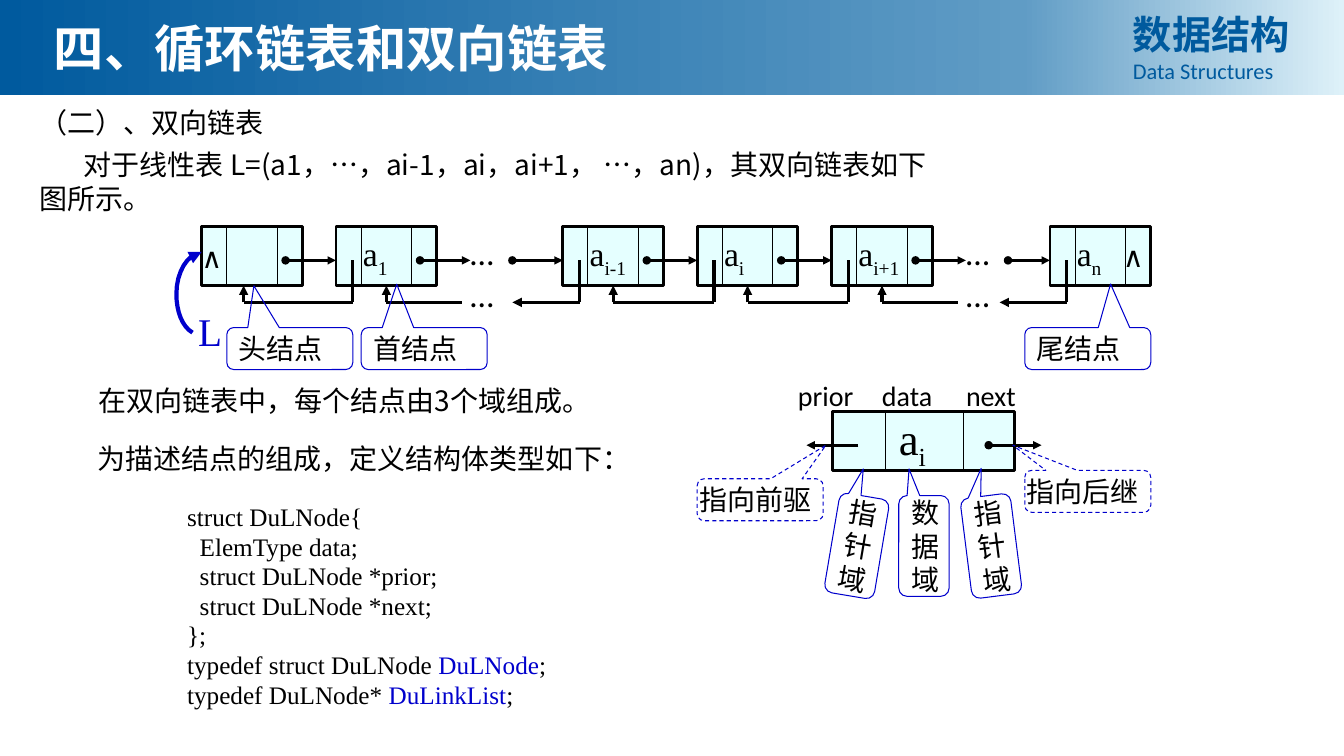
from copy import deepcopy

from pptx import Presentation
from pptx.dml.color import RGBColor
from pptx.enum.dml import MSO_LINE
from pptx.enum.shapes import MSO_CONNECTOR, MSO_SHAPE
from pptx.enum.text import MSO_ANCHOR, PP_ALIGN
from pptx.oxml.ns import qn
from pptx.util import Cm, Pt

RECT, CALLOUT = MSO_SHAPE.RECTANGLE, MSO_SHAPE.ROUNDED_RECTANGULAR_CALLOUT
STRAIGHT, DASH = MSO_CONNECTOR.STRAIGHT, MSO_LINE.DASH
TOP, MIDDLE = MSO_ANCHOR.TOP, MSO_ANCHOR.MIDDLE
LEFT, JUSTIFY = PP_ALIGN.LEFT, PP_ALIGN.JUSTIFY

BLACK = RGBColor(0x00, 0x00, 0x00)
WHITE = RGBColor(0xFF, 0xFF, 0xFF)
INK_BLUE = RGBColor(0x00, 0x00, 0xCC)
BRAND_BLUE = RGBColor(0x00, 0x5A, 0x9E)
NODE_FILL = RGBColor(0xCC, 0xFF, 0xFF)
BAR_STOPS = [(0, BRAND_BLUE), (0.76, RGBColor(0x60, 0x9C, 0xC5)),
             (1, RGBColor(0xDE, 0xF1, 0xF9))]
SANS, SERIF, CJK = "Calibri", "Times New Roman", "Noto Sans CJK SC"

# Places and sizes are counted in grid units, 12 to the inch.
GRID = 2.54 / 12
SLIDE_W, SLIDE_H = 160, 90
NODE_W, NODE_H, NODE_TOP = 12, 7, 27
NEXT_Y, PRIOR_Y = 31, 36

TITLE = "四、循环链表和双向链表"
COURSE = ["数据结构", [("Data Structures", dict(size=16, font=SANS, bold=False))]]
SECTION = "（二）、双向链表"
INTRO = "对于线性表 L=(a1，…，ai-1，ai，ai+1， …，an)，其双向链表如下图所示。"
FIELDS_NOTE = "在双向链表中，每个结点由3个域组成。"
STRUCT_NOTE = "为描述结点的组成，定义结构体类型如下："
BLUE = dict(color=INK_BLUE)
CODE = [
    "struct DuLNode{",
    "\tElemType data;",
    "\tstruct DuLNode *prior;",
    "\tstruct DuLNode *next;",
    "};",
    [("typedef struct DuLNode ", {}), ("DuLNode", BLUE), (";", {})],
    [("typedef DuLNode* ", {}), ("DuLinkList", BLUE), (";", {})],
]

NODES = [(24, None), (40, "1"), (67, "i-1"), (83, "i"), (99, "i+1"), (125, "n")]
NEXT_ARROWS = [(34, 40), (50, 56), (61, 67), (77, 83), (93, 99), (109, 115), (120, 125)]
PRIOR_TURNS = [(42, 29), (55, 46), (85, 73), (101, 89), (114, 105)]
PRIOR_TO_GAP = [(69, 61), (127, 119)]
PRIOR_STARTS = [42, 69, 85, 101, 127]
GAPS = [(x, y) for x in (56, 115) for y in (27, 32)]
NULLS = [(24, 28), (133.7, 27.9)]
HEAD_CURVE = [[(22.92, 39.6), (21.7, 38.9), (21, 37.1), (21, 35)],
              [(21, 35), (21, 32.4), (22.3, 30.25), (24, 30)]]

# text, (left, top, width, height), pointer tip, rotation
NODE_CALLOUTS = [
    ("头结点", (27, 39, 15, 5), (-0.285, -1.496), 0),
    ("首结点", (43, 39, 15, 5), (-0.218, -1.533), 0),
    ("尾结点", (122, 39, 15, 5), (0.181, -1.538), 0),
    ("指针域", (99, 59, 6, 12), (-0.128, -0.764), 9.6),
    ("数据域", (107, 59, 6, 12), (-0.295, -0.764), 0),
    ("指针域", (115, 59, 6, 12), (-0.003, -0.777), -7.2),
]
LINK_CALLOUTS = [
    ("指向前驱", (83, 57, 15, 5), (0.522, -1.3), 0),
    ("指向后继", (122, 56, 15, 5), (-0.596, -1.1), 0),
]
FIELD_NAMES = [("prior", 95), ("data", 105), ("next", 115)]

prs = Presentation()
prs.slide_width, prs.slide_height = Cm(SLIDE_W * GRID), Cm(SLIDE_H * GRID)
slide = prs.slides.add_slide(prs.slide_layouts[5])
shapes = slide.shapes


def units(*values):
    return [Cm(value * GRID) for value in values]


def write(shape, paragraphs, size=20, font=SANS, color=BLACK, bold=False,
          anchor=TOP, align=LEFT, insets=(1.2, 0.6, 1.2, 0.6), wrap=True,
          before=0, spacing=None, indents=None):
    """Each paragraph is a string or a list of (text, format changes)."""
    frame = shape.text_frame
    frame.word_wrap, frame.vertical_anchor = wrap, anchor
    (frame.margin_left, frame.margin_top,
     frame.margin_right, frame.margin_bottom) = units(*insets)
    for i, content in enumerate(paragraphs):
        para = frame.paragraphs[0] if i == 0 else frame.add_paragraph()
        para.alignment = align
        if i:
            para.space_before = Pt(before)
        if spacing:
            para.line_spacing = spacing
        if indents:
            para._p.get_or_add_pPr().set("indent", str(units(indents[i])[0]))
        for text, changes in [(content, {})] if isinstance(content, str) else content:
            look = dict(size=size, font=font, color=color, bold=bold, base=0) | changes
            run = para.add_run()
            run.text = text
            run.font.size, run.font.name = Pt(look["size"]), look["font"]
            run.font.bold, run.font.color.rgb = look["bold"], look["color"]
            if look["base"]:
                run.font._element.set("baseline", str(look["base"]))


def text_box(box, paragraphs, **fmt):
    write(shapes.add_textbox(*units(*box)), paragraphs, **fmt)


def add_end(line, end, kind):
    ln = line._get_or_add_ln()
    ln.append(ln.makeelement(qn("a:" + end), {"type": kind}))


def connect(x1, y1, x2, y2, width=2.25, oval=False, arrow=False):
    wire = shapes.add_connector(STRAIGHT, *units(x1, y1, x2, y2))
    wire.line.color.rgb, wire.line.width = BLACK, Pt(width)
    if oval:
        add_end(wire.line, "headEnd", "oval")
    if arrow:
        add_end(wire.line, "tailEnd", "triangle")
    props = wire._element.spPr
    props.append(props.makeelement(qn("a:effectLst"), {}))


def add_node(x, y, width, dividers, index, size, text_left):
    node = shapes.add_shape(RECT, *units(x, y, width, NODE_H))
    node.shadow.inherit = False
    node.fill.solid()
    node.fill.fore_color.rgb = NODE_FILL
    tint = node._element.spPr.find(".//" + qn("a:srgbClr"))
    tint.append(tint.makeelement(qn("a:alpha"), {"val": "50000"}))
    node.line.color.rgb, node.line.width = BLACK, Pt(2)
    if index:
        write(node, [[("a", {}), (index, dict(base=-25000))]], size=size, font=SERIF,
              anchor=MIDDLE, insets=(text_left, 0.6, 0, 0.6))
    for offset in dividers:
        connect(x + offset, y, x + offset, y + NODE_H, width=0.75)


def add_callout(text, box, tip, rotation, dash=None, side_inset=1.2):
    callout = shapes.add_shape(CALLOUT, *units(*box))
    callout.shadow.inherit = False
    callout.fill.background()
    callout.line.color.rgb, callout.line.width = INK_BLUE, Pt(0.75)
    callout.line.dash_style = dash
    callout.adjustments[0], callout.adjustments[1] = tip
    callout.rotation = rotation
    write(callout, [text], anchor=MIDDLE, insets=(side_inset, 0.6, side_inset, 0.6))


def bezier(points, t):
    weights = ((1 - t) ** 3, 3 * t * (1 - t) ** 2, 3 * t * t * (1 - t), t ** 3)
    return units(*(sum(w * p[axis] for w, p in zip(weights, points)) for axis in (0, 1)))


# Title bar
bar = shapes.add_shape(RECT, *units(0, 0, SLIDE_W, 11.3))
bar.shadow.inherit = False
bar.line.fill.background()
bar.fill.gradient()
bar.fill.gradient_angle = 0
stop_list = bar._element.spPr.find(".//" + qn("a:gsLst"))
stop_list.append(deepcopy(stop_list[-1]))
for stop, (position, color) in zip(bar.fill.gradient_stops, BAR_STOPS):
    stop.position, stop.color.rgb = position, color
title = shapes.title
title._element.addprevious(bar._element)
title.left, title.top, title.width, title.height = units(5.2, 1.4, 86.9, 8.5)
write(title, [TITLE], size=36, font=SERIF, color=WHITE, bold=True)
text_box((133.7, 0.6, 22.9, 10), COURSE, size=28, font=CJK, color=BRAND_BLUE,
         bold=True, align=JUSTIFY)

# Linked list
text_box((3.5, 12, 109, 14.5), [SECTION, INTRO], font=CJK, before=6, indents=(0, 5.3))
for x, index in NODES:
    add_node(x, NODE_TOP, NODE_W, (3, 9), index, 24, 3.2)
for start, end in NEXT_ARROWS:
    connect(start, NEXT_Y, end, NEXT_Y, width=2, oval=True, arrow=True)
for x in PRIOR_STARTS:
    connect(x, NEXT_Y, x, PRIOR_Y)
for start, end in PRIOR_TURNS:
    connect(start, PRIOR_Y, end, PRIOR_Y)
    connect(end, PRIOR_Y, end, NODE_TOP + NODE_H, arrow=True)
for start, end in PRIOR_TO_GAP:
    connect(start, PRIOR_Y, end, PRIOR_Y, arrow=True)
for x, y in GAPS:
    text_box((x, y, 3, 6), ["…"], size=24, insets=(0, 0.6, 0, 0.6))
for x, y in NULLS:
    text_box((x, y, 2.4, 5.3), ["∧"], insets=(0, 0.6, 0, 0.6), wrap=False)
text_box((22.4, 36, 5.3, 6.8), ["L"], size=28, font=SERIF, color=INK_BLUE, wrap=False)
curve = [bezier(part, step / 8) for part in HEAD_CURVE for step in range(9)]
outline = shapes.build_freeform(*curve[0])
outline.add_line_segments(curve[1:], close=False)
head_pointer = outline.convert_to_shape()
head_pointer.shadow.inherit = False
head_pointer.fill.background()
head_pointer.line.color.rgb, head_pointer.line.width = INK_BLUE, Pt(3)
add_end(head_pointer.line, "tailEnd", "triangle")

# Node structure
text_box((3.5, 45.1, 69.4, 5.2), [FIELDS_NOTE], font=CJK, anchor=MIDDLE, indents=(7,))
text_box((10.4, 52, 81, 5.2), [STRUCT_NOTE], font=CJK)
text_box((16.6, 59.6, 67, 25.8), CODE, size=18, font=SERIF, anchor=MIDDLE,
         before=6, spacing=0.7, indents=[4.5] * len(CODE))
for name, x in FIELD_NAMES:
    text_box((x, 45, 8, 4), [name], insets=(0, 0, 0, 0))
add_node(99.1, 49, 21.7, (6.3, 15.6), "i", 32, 7.9)
connect(117.7, 53, 124, 53, width=2, oval=True, arrow=True)
connect(102.2, 53, 96, 53, width=2, arrow=True)
for callout_spec in NODE_CALLOUTS:
    add_callout(*callout_spec)
for callout_spec in LINK_CALLOUTS:
    add_callout(*callout_spec, dash=DASH, side_inset=0)

prs.save("out.pptx")
